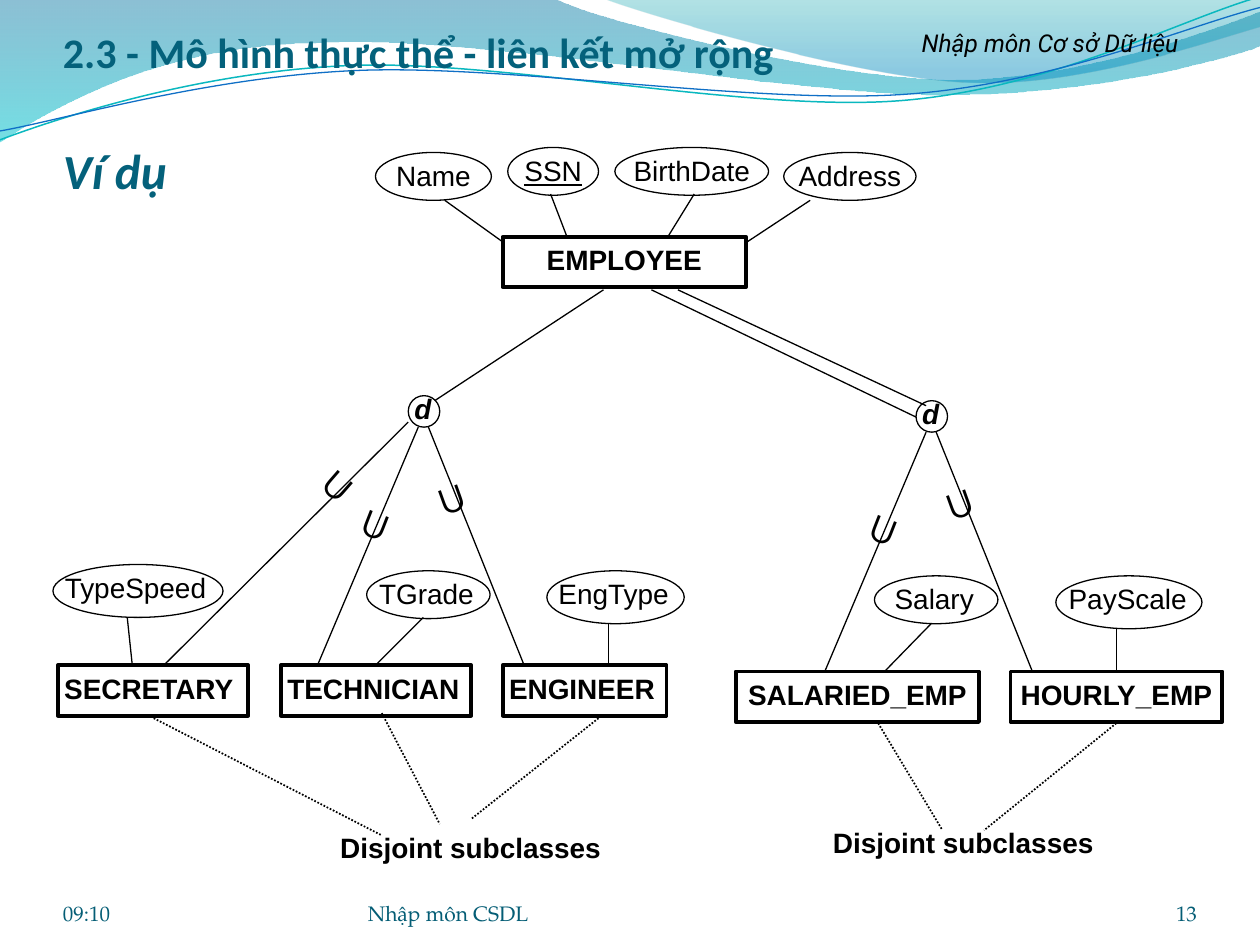
from math import cos, radians, sin

from lxml import etree
from pptx import Presentation
from pptx.dml.color import RGBColor
from pptx.enum.dml import MSO_LINE
from pptx.enum.shapes import MSO_CONNECTOR, MSO_SHAPE
from pptx.enum.text import MSO_ANCHOR, MSO_AUTO_SIZE, PP_ALIGN
from pptx.oxml.ns import qn
from pptx.util import Inches, Pt

LEFT, CENTER, RIGHT = PP_ALIGN.LEFT, PP_ALIGN.CENTER, PP_ALIGN.RIGHT
TOP, BOTTOM = MSO_ANCHOR.TOP, MSO_ANCHOR.BOTTOM
GROW = MSO_AUTO_SIZE.SHAPE_TO_FIT_TEXT
STRAIGHT = MSO_CONNECTOR.STRAIGHT
RECTANGLE, OVAL = MSO_SHAPE.RECTANGLE, MSO_SHAPE.OVAL
DOTTED = MSO_LINE.ROUND_DOT

COLORS = {
    "ink": "000000", "title": "04617B", "footer": "045D75",
    "deep": "0074A1", "cyan": "00C6CF", "teal": "00A1A9", "sky": "008BBF",
    "aqua_line": "0AB8BF", "blue_line": "0F6FC6",
}
INSETS = (0.1, 0.05, 0.1, 0.05)
NARROW = (0.05, 0.05, 0.05, 0.05)
HEADING = (0, 0.05, 0, 0)
FLUSH = (0, 0, 0, 0)
RIPPLE_TILT = 2.7

# Header waves: start point, then points (one is a line, three a Bezier curve)
BANDS = [
    ((0, -0.01), [
        [(4.4, -0.01)],
        [(4.76, 0.17), (6.64, 0.63), (7.58, 0.63)],
        [(8.53, 0.63), (9.58, 0.26), (10, 0.09)],
        [(10.01, 0.36)],
        [(9.83, 0.44), (8.7, 0.76), (7.46, 0.75)],
        [(6.22, 0.75), (3.82, 0.28), (2.57, 0.34)],
        [(1.29, 0.35), (0.46, 0.83), (-0.01, 1.13)],
        [(0, -0.01)],
    ], [("deep", 0, 45), ("cyan", 1, 55)]),
    ((4.79, -0.01), [
        [(5.09, 0.11), (6.82, 0.62), (7.69, 0.65)],
        [(8.56, 0.69), (9.61, 0.32), (10, 0.21)],
        [(10, 0)],
        [(4.79, -0.01)],
    ], [("teal", 0, 30), ("sky", 0.8, 45)]),
]
# Ripples also have a centre to tilt about
RIPPLES = [
    ((0, 1.11), [
        [(0.48, 0.93), (1.58, 0.57), (2.77, 0.52)],
        [(3.95, 0.47), (5.93, 0.89), (7.13, 0.8)],
        [(8.33, 0.71), (9.38, 0.15), (9.98, -0.02)],
    ], (4.99, 0.57), "aqua_line", 0.85),
    ((0, 1.04), [
        [(0.47, 0.96), (1.64, 0.61), (2.83, 0.56)],
        [(4.03, 0.51), (5.97, 0.83), (7.17, 0.75)],
        [(8.36, 0.67), (9.41, 0.21), (10, 0.06)],
    ], (5, 0.59), "blue_line", 0.75),
]

# Entities: name, left, top, width, alignment, insets
ENTITIES = [
    ("EMPLOYEE", 3.99, 1.88, 1.93, CENTER, INSETS),
    ("SECRETARY", 0.46, 5.28, 1.51, LEFT, NARROW),
    ("TECHNICIAN", 2.23, 5.28, 1.51, LEFT, NARROW),
    ("ENGINEER", 3.99, 5.28, 1.3, LEFT, NARROW),
    ("SALARIED_EMP", 5.84, 5.33, 1.93, CENTER, NARROW),
    ("HOURLY_EMP", 8.02, 5.33, 1.68, CENTER, NARROW),
]
# Attributes: name, oval left, top, width, height, label left, label width
ATTRIBUTES = [
    ("Name", 2.98, 1.21, 0.92, 0.38, 2.98, 0.92),
    ("SSN", 4.03, 1.17, 0.72, 0.38, 4.03, 0.72),
    ("BirthDate", 4.88, 1.17, 1.22, 0.38, 4.88, 1.22),
    ("Address", 6.22, 1.21, 1.05, 0.38, 6.22, 1.05),
    ("TypeSpeed", 0.42, 4.48, 1.35, 0.42, 0.3, 1.55),
    ("TGrade", 2.91, 4.53, 0.98, 0.38, 2.82, 1.13),
    ("EngType", 4.34, 4.53, 1.09, 0.42, 4.24, 1.26),
    ("Salary", 6.94, 4.57, 0.98, 0.38, 6.85, 1.13),
    ("PayScale", 8.38, 4.57, 1.16, 0.42, 8.28, 1.34),
]
KEY_ATTRIBUTE = "SSN"
# Links: from x, y, to x, y
ATTRIBUTE_LINKS = [
    (3.53, 1.59, 3.99, 1.92), (4.37, 1.54, 4.5, 1.88),
    (5.51, 1.54, 5.3, 1.88), (5.93, 1.92, 6.43, 1.59),
    (1.01, 4.9, 1.05, 5.28), (3.36, 4.9, 2.98, 5.28),
    (4.83, 4.95, 4.83, 5.28), (7.39, 4.95, 7.02, 5.33),
    (8.86, 4.99, 8.86, 5.33),
]
CLASS_LINKS = [
    (4.79, 2.3, 3.45, 3.18), (3.24, 3.35, 1.3, 5.28),
    (5.38, 2.3, 7.35, 3.22), (5.17, 2.3, 7.27, 3.31),
]
NOTE_LINKS = [
    (1.22, 5.7, 3.03, 6.63), (3.03, 5.66, 3.49, 6.54),
    (4.75, 5.7, 3.74, 6.5), (6.97, 5.74, 7.48, 6.59),
    (8.86, 5.74, 7.81, 6.59),
]


def color(name):
    return RGBColor.from_string(COLORS[name])


def set_text(shape, text, size=16, font="Arial", ink="ink", align=LEFT,
             anchor=TOP, insets=INSETS, **styles):
    frame = shape.text_frame
    frame.text = text
    frame.word_wrap = True
    frame.vertical_anchor = anchor
    if anchor == TOP:
        frame.auto_size = GROW
    (frame.margin_left, frame.margin_top,
     frame.margin_right, frame.margin_bottom) = map(Inches, insets)
    paragraph = frame.paragraphs[0]
    paragraph.alignment = align
    span = paragraph.runs[0].font
    span.size, span.name = Pt(size), font
    span.color.rgb = color(ink)
    for style, value in styles.items():
        setattr(span, style, value)


def add_label(page, text, left, top, width, height=0.37, rotation=0, **options):
    box = page.shapes.add_textbox(*map(Inches, (left, top, width, height)))
    box.rotation = rotation
    set_text(box, text, **options)


def add_outline(page, kind, left, top, width, height, weight=0.75):
    shape = page.shapes.add_shape(kind, *map(Inches, (left, top, width, height)))
    shape.shadow.inherit = False
    shape.fill.background()
    shape.line.color.rgb = color("ink")
    shape.line.width = Pt(weight)
    return shape


def add_link(page, ends, weight=0.75, dash=None):
    link = page.shapes.add_connector(STRAIGHT, *map(Inches, ends))
    link.line.color.rgb = color("ink")
    link.line.width = Pt(weight)
    if dash:
        link.line.dash_style = dash
    etree.SubElement(link.element.spPr, qn("a:effectLst"))


def turn(point, center, angle):
    x, y = point[0] - center[0], point[1] - center[1]
    c, s = cos(radians(angle)), sin(radians(angle))
    return center[0] + x * c - y * s, center[1] + x * s + y * c


def add_wave(page, start, segments, close=False, center=(0, 0), tilt=0):
    points = [start] + [point for segment in segments for point in segment]
    first, *rest = [tuple(map(Inches, turn(point, center, tilt))) for point in points]
    builder = page.shapes.build_freeform(*first, scale=1.0)
    builder.add_line_segments(rest, close=close)
    wave = builder.convert_to_shape()
    wave.rotation = -tilt
    wave.shadow.inherit = False
    # Join each three points of a curve into one Bezier segment
    steps = iter(list(wave.element.spPr.iter(qn("a:lnTo"))))
    for segment in segments:
        group = [next(steps) for _ in segment]
        if len(group) == 3:
            curve = etree.Element(qn("a:cubicBezTo"))
            group[0].addprevious(curve)
            for step in group:
                curve.append(step[0])
                step.getparent().remove(step)
    return wave


def add_header(page):
    for start, segments, stops in BANDS:
        band = add_wave(page, start, segments, close=True)
        band.line.fill.background()
        band.fill.gradient()
        band.fill.gradient_angle = 270
        for stop, (name, position, _) in zip(band.fill.gradient_stops, stops):
            stop.color.rgb = color(name)
            stop.position = position
        for tone, (_, _, opacity) in zip(band.element.spPr.iter(qn("a:srgbClr")), stops):
            etree.SubElement(tone, qn("a:alpha"), val=str(opacity * 1000))
    for start, segments, center, name, weight in RIPPLES:
        ripple = add_wave(page, start, segments, center=center, tilt=RIPPLE_TILT)
        ripple.fill.background()
        ripple.line.color.rgb = color(name)
        ripple.line.width = Pt(weight)


def add_disjoint_node(page, x, y):
    """Circle marked d, with two subset branches below it."""
    add_outline(page, OVAL, x, y, 0.25, 0.25)
    add_label(page, "d", x - 0.05, y - 0.08, 0.55, bold=True, italic=True)
    add_link(page, (x + 0.08, y + 0.25, x - 0.72, y + 2.14))
    add_link(page, (x + 0.16, y + 0.25, x + 0.92, y + 2.14))
    add_subset(page, x - 0.47, y + 0.76, 21.4)
    add_subset(page, x + 0.12, y + 0.55, 340.3)


def add_subset(page, left, top, rotation):
    add_label(page, "∪", left, top, 0.46, 0.5, rotation, size=24)


def main():
    deck = Presentation()
    deck.slide_width, deck.slide_height = Inches(10), Inches(7.5)
    page = deck.slides.add_slide(deck.slide_layouts[6])

    # Header and headings
    add_header(page)
    heading = dict(font="Calibri", ink="title", anchor=BOTTOM, insets=HEADING, bold=True)
    add_label(page, "2.3 - Mô hình thực thể - liên kết mở rộng", 0.5, 0.25, 9, 0.36,
              size=24, **heading)
    add_label(page, "Ví dụ", 0.5, 0.77, 2, 0.81, size=28, italic=True, **heading)
    add_label(page, "Nhập môn Cơ sở Dữ liệu", 6.67, 0.17, 3.33, 0.34,
              size=14, font="Roboto", align=CENTER, italic=True)

    # Entities and attributes
    for name, left, top, width, align, insets in ENTITIES:
        entity = add_outline(page, RECTANGLE, left, top, width, 0.4, 2.25)
        set_text(entity, name, align=align, insets=insets, bold=True)
    for name, left, top, width, height, label_left, label_width in ATTRIBUTES:
        add_outline(page, OVAL, left, top, width, height)
        add_label(page, name, label_left, top, label_width, align=CENTER,
                  underline=True if name == KEY_ATTRIBUTE else None)

    # Specialisation
    for ends in ATTRIBUTE_LINKS + CLASS_LINKS:
        add_link(page, ends)
    for x, y in ((3.24, 3.14), (7.27, 3.18)):
        add_disjoint_node(page, x, y)
    add_subset(page, 2.48, 3.6, 41.1)

    # Notes under the subclasses
    for ends in NOTE_LINKS:
        add_link(page, ends, 1, DOTTED)
    for left, top in ((2.56, 6.54), (6.47, 6.5)):
        add_label(page, "Disjoint subclasses", left, top, 2.35, align=CENTER, bold=True)

    # Footer
    for text, left, width, align in (("09:10", 0.5, 2.33, LEFT),
                                     ("Nhập môn CSDL", 2.92, 3.67, LEFT),
                                     ("13", 8.67, 0.83, RIGHT)):
        add_label(page, text, left, 6.95, width, 0.4, size=12, font="TeX Gyre Pagella",
                  ink="footer", align=align, anchor=BOTTOM, insets=FLUSH)

    deck.save("out.pptx")


if __name__ == "__main__":
    main()
